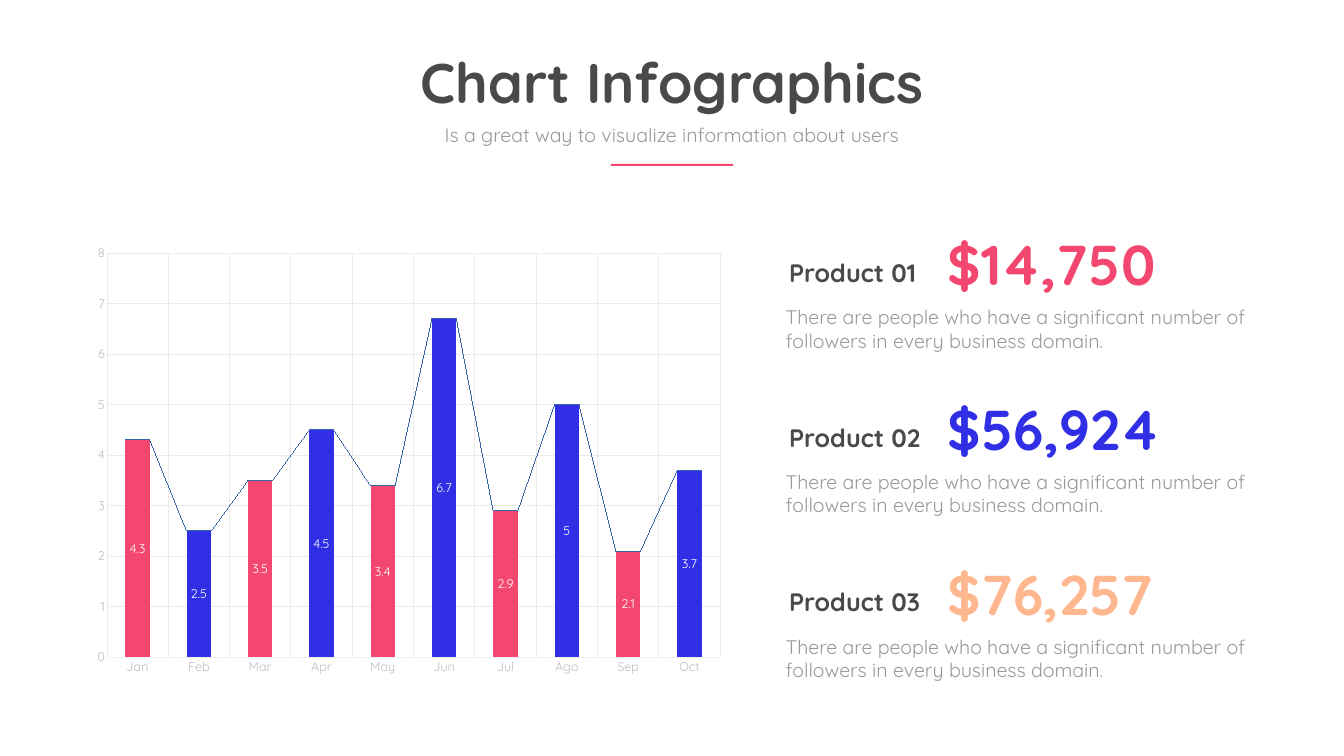
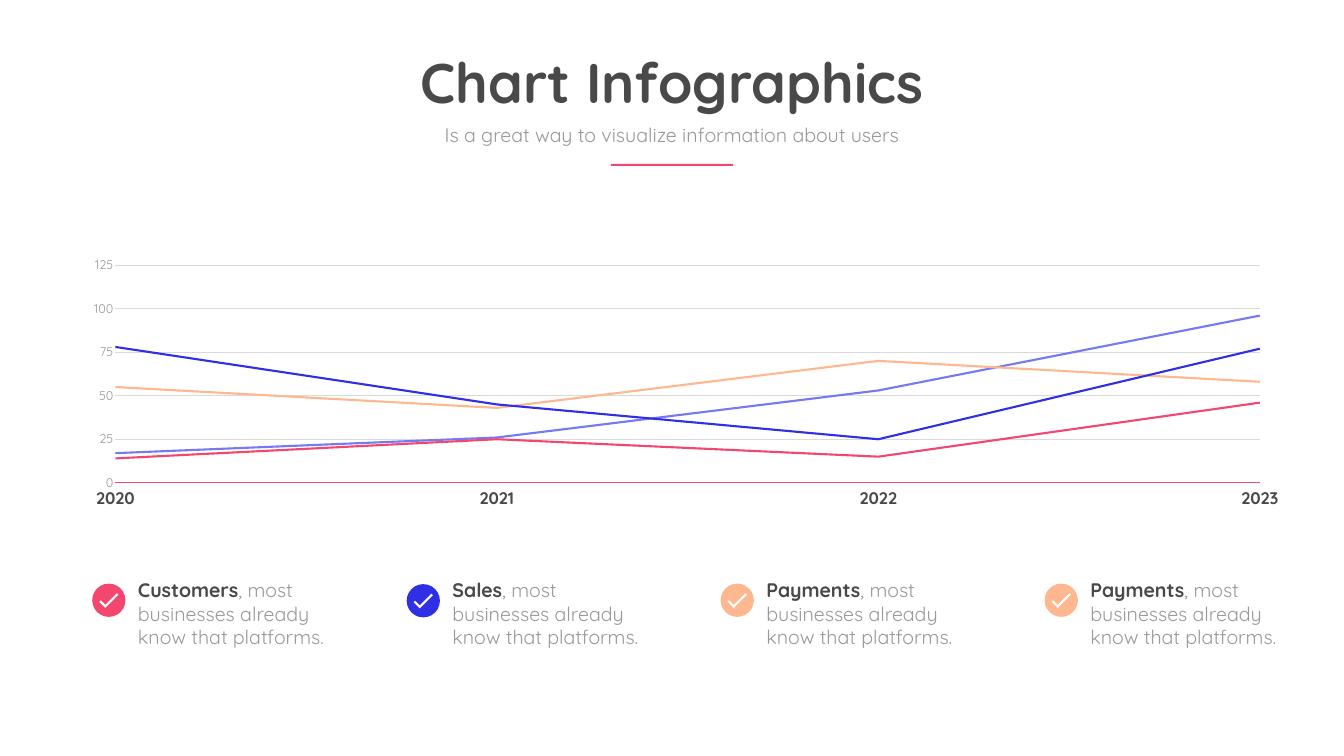
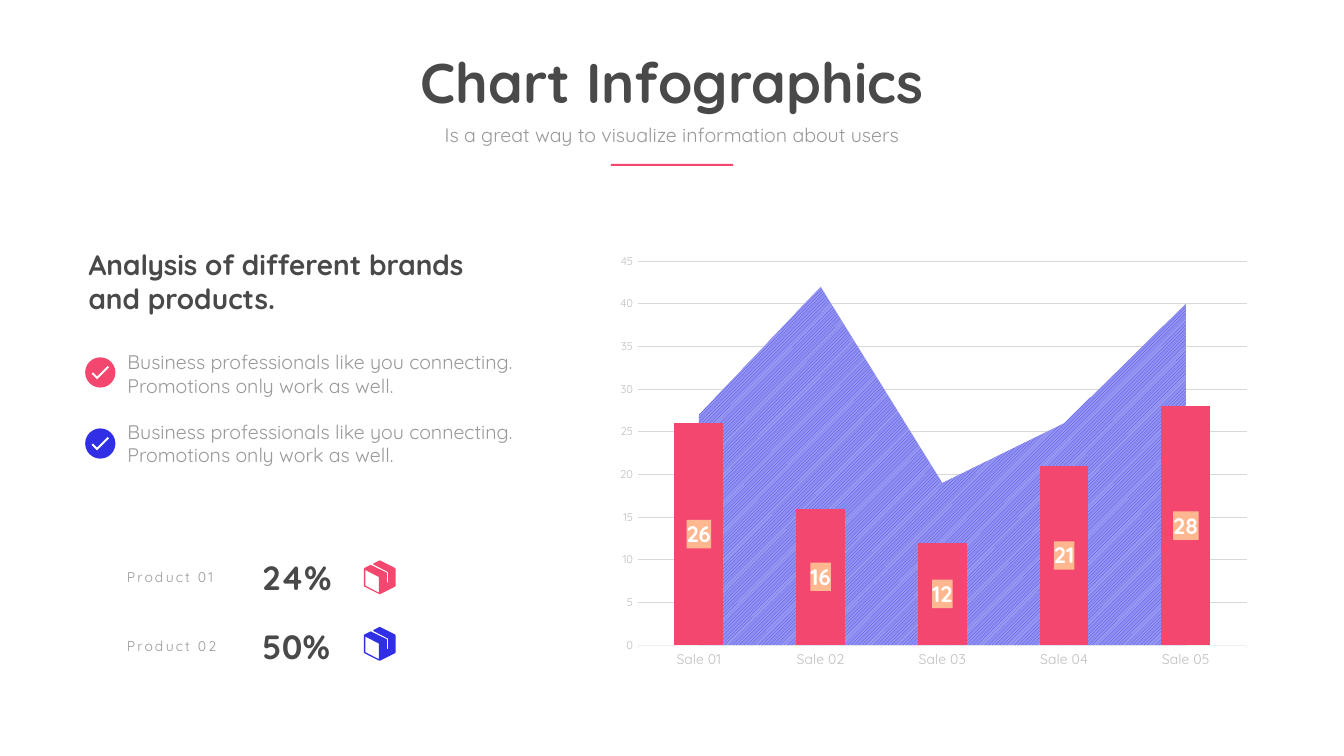
from dataclasses import dataclass
from typing import Optional

from pptx import Presentation
from pptx import oxml
from pptx import util as u
from pptx.chart.data import CategoryChartData
from pptx.dml.color import RGBColor
from pptx.enum import chart as charts
from pptx.enum import dml, shapes, text
from pptx.oxml import ns

SCALE = 9144
FONT = "Quicksand"
DARK, GREY, WHITE = "494949", "999999", "FFFFFF"
PINK, BLUE, PEACH, VIOLET = "F3476F", "302FE5", "FFB78F", "7479F4"

CHECK = [(26, 42), (17, 33), (14, 36), (26, 48), (52, 22), (49, 19)]
CHECK_CIRCLE = 66
PARCEL = [(62, 15), (32, 0), (31, 0), (19, 6), (19, 8), (48, 23), (48, 43),
          (47, 45), (46, 43), (46, 25), (45, 24), (14, 9), (13, 9), (1, 15),
          (0, 17), (0, 51), (1, 52), (31, 67), (32, 67), (62, 52), (63, 51),
          (63, 17)]
PARCEL_WINDOW = [(30, 64), (3, 50), (3, 19), (30, 33)]


@dataclass(frozen=True)
class Frame:
    left: int
    top: int
    width: int
    height: int

    def emu(self) -> list:
        return [px(v) for v in (self.left, self.top, self.width, self.height)]


@dataclass(frozen=True)
class Span:
    words: str
    size: int
    color: str
    bold: bool = False
    spacing: int = 0


@dataclass(frozen=True)
class AxisStyle:
    size: int
    color: str
    bold: bool = False
    line: Optional[str] = None
    line_width: float = 0.75
    grid: Optional[str] = None
    grid_width: float = 1
    tick: int = charts.XL_TICK_MARK.NONE


@dataclass(frozen=True)
class Product:
    name: str
    value: str
    color: str


@dataclass(frozen=True)
class Benefit:
    left: int
    top: int
    name: str
    color: str


@dataclass(frozen=True)
class Share:
    product: Product
    top: int
    icon_top: int


TITLE = Frame(688, 90, 1291, 145)
SUBTITLE = Frame(855, 238, 956, 57)
RULE = Frame(1212, 325, 243, 4)


def px(value: float) -> int:
    return u.Emu(round(value * SCALE))


def rgb(value: str) -> RGBColor:
    return RGBColor.from_string(value)


def style_font(font, size: int, color: str, bold: bool = False) -> None:
    font.name = FONT
    font.size = u.Pt(size)
    font.bold = bold
    font.color.rgb = rgb(color)


def paint(shape, color: str) -> None:
    shape.shadow.inherit = False
    shape.fill.solid()
    shape.fill.fore_color.rgb = rgb(color)
    shape.line.fill.background()


def write(box, spans: list, centered: bool = False) -> None:
    frame = box.text_frame
    frame.word_wrap = True
    frame.auto_size = text.MSO_AUTO_SIZE.SHAPE_TO_FIT_TEXT
    para = frame.paragraphs[0]
    para.alignment = text.PP_ALIGN.CENTER if centered else text.PP_ALIGN.LEFT
    for item in spans:
        span = para.add_run()
        span.text = item.words
        style_font(span.font, item.size, item.color, item.bold)
        if item.spacing:
            span._r.get_or_add_rPr().set("spc", str(item.spacing * 100))


def add_text(page, frame: Frame, *spans: Span, centered: bool = False):
    box = page.shapes.add_textbox(*frame.emu())
    write(box, spans, centered)
    return box


def add_shape(page, kind, frame: Frame, color: str) -> None:
    paint(page.shapes.add_shape(kind, *frame.emu()), color)


def add_outline(page, left: int, top: int, contours: list, color: str,
                zoom: float = 1) -> None:
    builder = page.shapes.build_freeform(*contours[0][0], scale=SCALE * zoom)
    builder.add_line_segments(contours[0][1:], close=True)
    for contour in contours[1:]:
        builder.move_to(*contour[0])
        builder.add_line_segments(contour[1:], close=True)
    paint(builder.convert_to_shape(px(left), px(top)), color)


def add_check(page, left: int, top: int, size: int, color: str) -> None:
    add_shape(page, shapes.MSO_SHAPE.OVAL, Frame(left, top, size, size), color)
    add_outline(page, left, top, [CHECK], WHITE, size / CHECK_CIRCLE)


def add_page(deck):
    page = deck.slides.add_slide(deck.slide_layouts[5])
    title = page.shapes.title
    title.left, title.top, title.width, title.height = TITLE.emu()
    title.text_frame.vertical_anchor = text.MSO_ANCHOR.TOP
    write(title, [Span("Chart Infographics", 80, DARK, True)], centered=True)
    add_text(page, SUBTITLE,
             Span("Is a great way to visualize information about users", 28, GREY),
             centered=True)
    add_shape(page, shapes.MSO_SHAPE.RECTANGLE, RULE, PINK)
    return page


def place_plot(chart, frame: Frame, plot: Frame) -> None:
    area = chart._chartSpace.chart.plotArea
    for layout in area.findall(ns.qn("c:layout")):
        area.remove(layout)
    sides = {"x": (plot.left - frame.left) / frame.width,
             "y": (plot.top - frame.top) / frame.height,
             "w": plot.width / frame.width,
             "h": plot.height / frame.height}
    modes = "".join(f'<c:{side}Mode val="edge"/>' for side in "xy")
    values = "".join(f'<c:{side} val="{value:.4f}"/>' for side, value in sides.items())
    area.insert(0, oxml.parse_xml(
        f'<c:layout {ns.nsdecls("c")}><c:manualLayout>'
        f'<c:layoutTarget val="inner"/>{modes}{values}'
        '</c:manualLayout></c:layout>'))


def style_axis(axis, style: AxisStyle) -> None:
    axis.major_tick_mark = style.tick
    axis.minor_tick_mark = charts.XL_TICK_MARK.NONE
    style_font(axis.tick_labels.font, style.size, style.color, style.bold)
    line = axis.format.line
    if style.line:
        line.color.rgb = rgb(style.line)
        line.width = u.Pt(style.line_width)
    else:
        line.fill.background()
    axis.has_major_gridlines = style.grid is not None
    if style.grid:
        grid = axis.major_gridlines.format.line
        grid.color.rgb = rgb(style.grid)
        grid.width = u.Pt(style.grid_width)


def set_crossing(axis, mode: str) -> None:
    element = axis._element
    for crossing in element.findall(ns.qn("c:crossBetween")):
        element.remove(crossing)
    anchor = element.find(ns.qn("c:crosses"))
    if anchor is None:
        anchor = element.find(ns.qn("c:crossAx"))
    anchor.addnext(oxml.parse_xml(
        f'<c:crossBetween {ns.nsdecls("c")} val="{mode}"/>'))


def add_chart(page, kind, frame: Frame, plot: Frame, categories: list,
              rows: list, category_style: AxisStyle, value_style: AxisStyle,
              top_value: int, step: int, crossing: str = "between"):
    data = CategoryChartData(number_format="General")
    data.categories = categories
    for number, row in enumerate(rows, 1):
        data.add_series(f"Series {number}", row)
    chart = page.shapes.add_chart(kind, *frame.emu(), data).chart
    chart.has_title = False
    chart.has_legend = False
    style_font(chart.font, 18, GREY)
    chart.plots[0].vary_by_categories = False
    style_axis(chart.category_axis, category_style)
    axis = chart.value_axis
    style_axis(axis, value_style)
    axis.minimum_scale, axis.maximum_scale, axis.major_unit = 0, top_value, step
    set_crossing(axis, crossing)
    place_plot(chart, frame, plot)
    return chart


def fill_series(item, color: str) -> None:
    item.format.fill.solid()
    item.format.fill.fore_color.rgb = rgb(color)


def label_series(series, size: int, bold: bool = False):
    labels = series.data_labels
    labels.show_value = True
    labels.position = charts.XL_LABEL_POSITION.CENTER
    style_font(labels.font, size, WHITE, bold)
    return labels


def solid_fill(color: str) -> str:
    return f'<a:solidFill><a:srgbClr val="{color}"/></a:solidFill>'


def build_products_page(deck) -> None:
    page = add_page(deck)
    chart = add_chart(
        page, charts.XL_CHART_TYPE.COLUMN_STACKED,
        Frame(169, 469, 1285, 888), Frame(212, 502, 1217, 802),
        ["Jan", "Feb", "Mar", "Apr", "May", "Jun", "Jul", "Ago", "Sep", "Oct"],
        [[4.3, 2.5, 3.5, 4.5, 3.4, 6.7, 2.9, 5, 2.1, 3.7]],
        AxisStyle(18, "BDBDBD", line="F0F0F0", grid="EBEBEB"),
        AxisStyle(18, "BDBDBD", grid="EBEBEB"), 8, 1)
    bars = chart.plots[0]
    bars.gap_width, bars.overlap = 150, 100
    series = bars.series[0]
    fill_series(series, PINK)
    for month in range(1, 10, 2):
        fill_series(series.points[month], BLUE)
    label_series(series, 18)
    bars._element.find(ns.qn("c:overlap")).addnext(oxml.parse_xml(
        f'<c:serLines {ns.nsdecls("c", "a")}><c:spPr><a:ln w="9525">'
        f'{solid_fill("3465A4")}</a:ln></c:spPr></c:serLines>'))

    products = [Product("Product 01", "$14,750", PINK),
                Product("Product 02", "$56,924", BLUE),
                Product("Product 03", "$76,257", PEACH)]
    for row, product in enumerate(products):
        top = 450 + 653 * row // 2
        add_text(page, Frame(1556, top + 56, 315, 71),
                 Span(product.name, 36, DARK, True))
        price = add_text(page, Frame(1875, top, 622, 146),
                         Span(product.value, 80, product.color, True)).text_frame
        price.vertical_anchor = text.MSO_ANCHOR.MIDDLE
        price.margin_left = price.margin_right = px(6)
        price.margin_top = price.margin_bottom = px(6)
        add_text(page, Frame(1549, top + 151, 948, 104),
                 Span("There are people who have a significant number of "
                      "followers in every business domain.", 28, GREY))


def build_years_page(deck) -> None:
    page = add_page(deck)
    chart = add_chart(
        page, charts.XL_CHART_TYPE.LINE,
        Frame(112, 427, 2442, 682), Frame(229, 526, 2271, 432),
        ["2020", "2021", "2022", "2023"],
        [[17, 26, 53, 96], [55, 43, 70, 58], [14, 25, 15, 46], [78, 45, 25, 77]],
        AxisStyle(24, DARK, True, line=PINK, line_width=1),
        AxisStyle(18, GREY, grid="D9D9D9"), 125, 25, "midCat")
    chart.category_axis.tick_label_position = charts.XL_TICK_LABEL_POSITION.LOW
    for series, color in zip(chart.plots[0].series, [VIOLET, PEACH, PINK, BLUE]):
        series.smooth = False
        series.format.line.color.rgb = rgb(color)
        series.format.line.width = u.Pt(3)

    benefits = [Benefit(183, 1158, "Customers", PINK),
                Benefit(807, 1159, "Sales", BLUE),
                Benefit(1430, 1158, "Payments", PEACH),
                Benefit(2073, 1158, "Payments", PEACH)]
    for benefit in benefits:
        add_check(page, benefit.left, benefit.top, 66, benefit.color)
        add_text(page, Frame(benefit.left + 81, 1142, 394, 199),
                 Span(benefit.name, 28, DARK, True),
                 Span(", most businesses already know that platforms.", 28, GREY))


def move_to_columns(chart):
    area = chart.plots[0]._element
    columns = oxml.parse_xml(
        f'<c:barChart {ns.nsdecls("c")}><c:barDir val="col"/>'
        '<c:grouping val="clustered"/><c:varyColors val="0"/>'
        '<c:gapWidth val="150"/></c:barChart>')
    columns.insert(3, area.findall(ns.qn("c:ser"))[1])
    for axis in area.findall(ns.qn("c:axId")):
        columns.append(oxml.parse_xml(
            f'<c:axId {ns.nsdecls("c")} val="{axis.get("val")}"/>'))
    area.addnext(columns)
    return chart.plots[1].series[0]


def build_sales_page(deck) -> None:
    page = add_page(deck)
    outside = charts.XL_TICK_MARK.OUTSIDE
    chart = add_chart(
        page, charts.XL_CHART_TYPE.AREA_STACKED,
        Frame(1204, 487, 1297, 856), Frame(1266, 518, 1208, 762),
        [f"Sale {number:02}" for number in range(1, 6)],
        [[27, 42, 19, 26, 40], [26, 16, 12, 21, 28]],
        AxisStyle(20, "BFBFBF", line="F0F0F0", tick=outside),
        AxisStyle(16, "BFBFBF", grid="D7D8DC", grid_width=0.75, tick=outside),
        45, 5)
    style_font(chart.font, 14, "BFBFBF")
    columns = move_to_columns(chart)
    fill_series(columns, PINK)
    labels = label_series(columns, 32, True)
    labels._element.find(ns.qn("c:txPr")).addprevious(oxml.parse_xml(
        f'<c:spPr {ns.nsdecls("c", "a")}>{solid_fill(PEACH)}</c:spPr>'))
    hatch = chart.plots[0].series[0].format.fill
    hatch.patterned()
    hatch.pattern = dml.MSO_PATTERN.LIGHT_UPWARD_DIAGONAL
    hatch.fore_color.rgb = rgb(BLUE)
    hatch.back_color.rgb = rgb("ACACF5")

    add_text(page, Frame(166, 487, 800, 145),
             Span("Analysis of different brands and products.", 40, DARK, True))
    for top, text_top, color in [(709, 690, PINK), (850, 828, BLUE)]:
        add_check(page, 169, top, 60, color)
        add_text(page, Frame(243, text_top, 827, 104),
                 Span("Business professionals like you connecting. "
                      "Promotions only work as well.", 28, GREY))
    shares = [Share(Product("Product 01", "24%", PINK), 1100, 1112),
              Share(Product("Product 02", "50%", BLUE), 1236, 1244)]
    for share in shares:
        product = share.product
        add_text(page, Frame(511, share.top, 176, 91),
                 Span(product.value, 48, DARK, True))
        add_text(page, Frame(242, share.top + 24, 258, 44),
                 Span(product.name, 20, GREY, spacing=3))
        add_outline(page, 722, share.icon_top, [PARCEL, PARCEL_WINDOW], product.color)


def main() -> None:
    deck = Presentation()
    deck.slide_width, deck.slide_height = px(2667), px(1500)
    build_products_page(deck)
    build_years_page(deck)
    build_sales_page(deck)
    deck.save("out.pptx")


if __name__ == "__main__":
    main()
